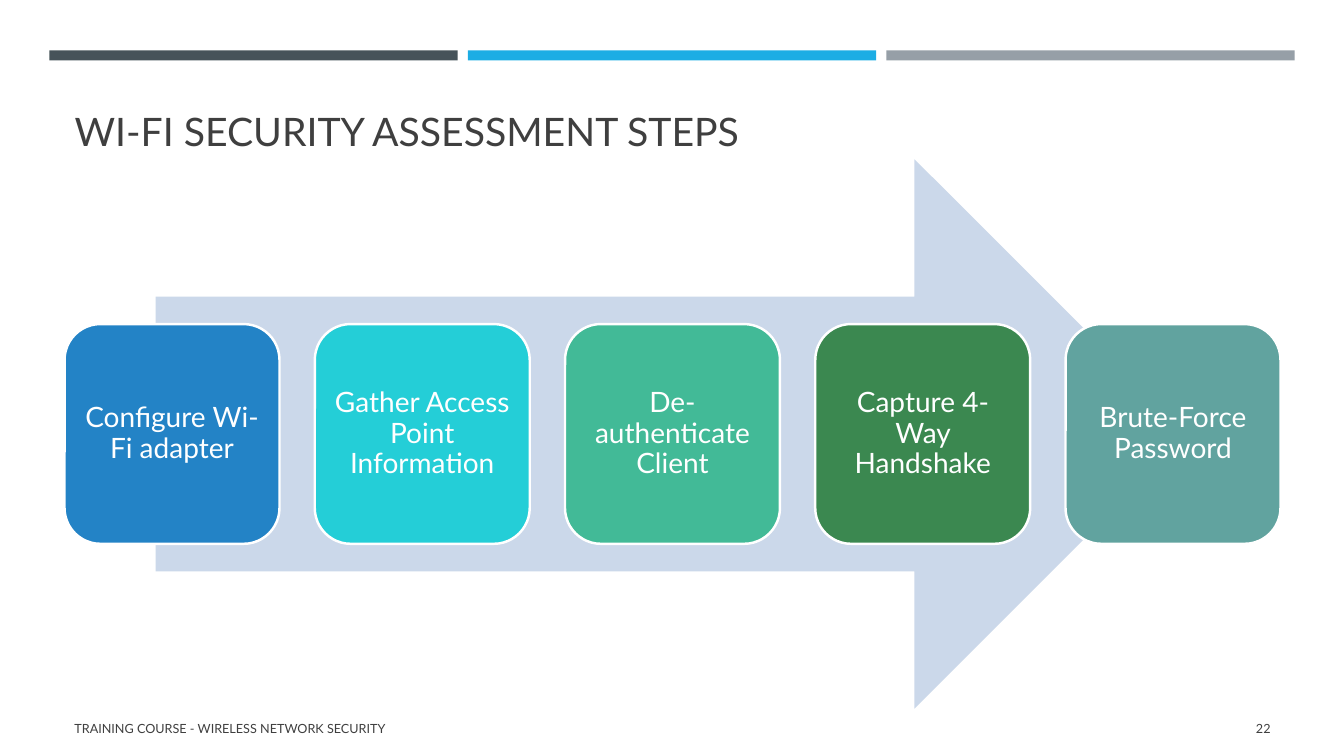
import dataclasses
import pptx
import pptx.dml.color
import pptx.enum.shapes
import pptx.enum.text
import pptx.util

title = "WI-FI SECURITY ASSESSMENT STEPS"
footer = "TRAINING COURSE - WIRELESS NETWORK SECURITY"
number = "22"
steps = [
    ("Configure Wi-Fi adapter", "2383C6"),
    ("Gather Access Point Information", "24CED7"),
    ("De-authenticate Client", "42BA97"),
    ("Capture 4-Way Handshake", "3B8850"),
    ("Brute-Force Password", "61A39F"),
]


@dataclasses.dataclass
class Theme:
    font: str = "Lato"
    ink: str = "3F3F3F"
    light: str = "FFFFFF"
    arrow: str = "CBD8EA"
    bars: tuple = ("465359", "1CADE4", "969FA7")
    head: float = 28
    label: float = 20
    small: float = 9


theme = Theme()
inch = pptx.util.Inches
shape = pptx.enum.shapes.MSO_SHAPE
align = pptx.enum.text.PP_ALIGN
anchor = pptx.enum.text.MSO_ANCHOR
rgb = pptx.dml.color.RGBColor.from_string

wide, high = 13.33, 7.5
left, span = 0.64, 12.06
top, tall = 1.58, 5.45
base = top + tall

deck = pptx.Presentation()
deck.slide_width, deck.slide_height = inch(wide), inch(high)
slide = deck.slides.add_slide(deck.slide_layouts[5])


def split(start, width, count, gap):
    size = (width - gap * (count - 1)) / count
    return size, [start + i * (size + gap) for i in range(count)]


def draw(kind, box, fill, line=None):
    item = slide.shapes.add_shape(kind, *map(inch, box))
    item.shadow.inherit = False
    item.fill.solid()
    item.fill.fore_color.rgb = rgb(fill)
    if line:
        item.line.color.rgb = rgb(line)
        item.line.width = pptx.util.Pt(1.75)
    else:
        item.line.fill.background()
    return item


def write(item, text, size, color=theme.ink, side=align.LEFT,
          hold=anchor.MIDDLE, inset=(0.1, 0.05), space=1.0):
    frame = item.text_frame
    frame.word_wrap = True
    frame.auto_size = pptx.enum.text.MSO_AUTO_SIZE.NONE
    frame.vertical_anchor = hold
    frame.margin_left = frame.margin_right = inch(inset[0])
    frame.margin_top = frame.margin_bottom = inch(inset[1])
    frame.text = text
    para = frame.paragraphs[0]
    para.alignment = side
    para.line_spacing = space
    font = para.runs[0].font
    font.name, font.size = theme.font, pptx.util.Pt(size)
    font.color.rgb = rgb(color)


edge = 0.49
size, spots = split(edge, wide - 2 * edge, len(theme.bars), 0.1)
for x, fill in zip(spots, theme.bars):
    draw(shape.RECTANGLE, (x, 0.5, size, 0.1), fill)

head = slide.shapes.title
head.left, head.top = inch(left), inch(0.77)
head.width, head.height = inch(span), inch(top - 0.77)
write(head, title, theme.head, hold=anchor.BOTTOM)

notes = [
    (left, 7.56, footer, align.LEFT),
    (left + span - 1.15, 1.15, number, align.RIGHT),
]
for x, width, text, side in notes:
    box = slide.shapes.add_textbox(*map(inch, (x, base, width, 0.4)))
    write(box, text, theme.small, side=side)

reach = span * 0.85
draw(shape.RIGHT_ARROW, (left + (span - reach) / 2, top, reach, tall),
     theme.arrow)

size, spots = split(left, span, len(steps), 0.35)
depth = tall * 0.4
for x, (text, fill) in zip(spots, steps):
    box = (x, top + (tall - depth) / 2, size, depth)
    card = draw(shape.ROUNDED_RECTANGLE, box, fill, theme.light)
    write(card, text, theme.label, color=theme.light, side=align.CENTER,
          inset=(0.08, 0.08), space=0.9)

deck.save("out.pptx")
